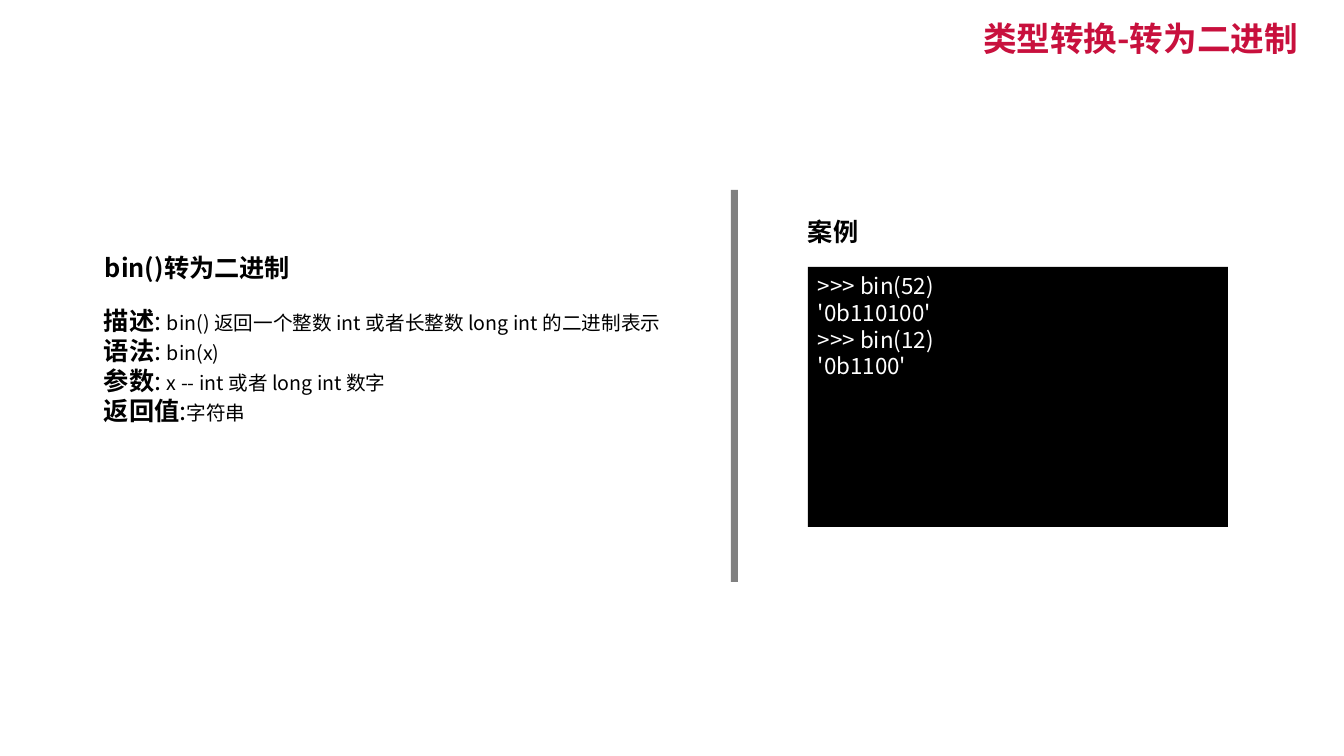
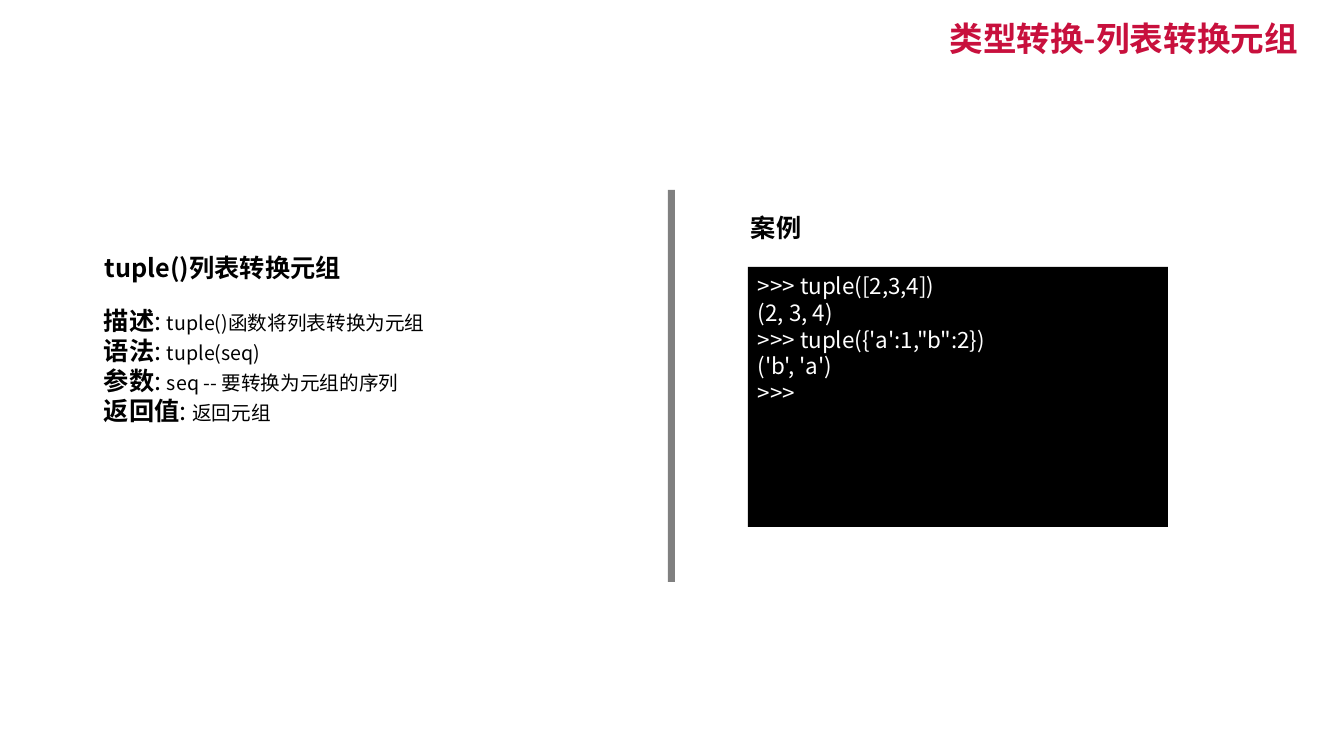
from dataclasses import dataclass

from lxml.etree import SubElement
from pptx import Presentation
from pptx.dml.color import RGBColor
from pptx.enum.shapes import MSO_SHAPE
from pptx.enum.text import MSO_ANCHOR, MSO_AUTO_SIZE, PP_ALIGN
from pptx.oxml.ns import qn
from pptx.util import Emu, Pt

EMU_PER_PIXEL = 914400 / 100.8
SLIDE_SIZE = (1344, 756)
FONT = "Noto Sans CJK SC"
CRIMSON = RGBColor(0xC8, 0x10, 0x3D)
BLACK = RGBColor(0, 0, 0)
WHITE = RGBColor(0xFF, 0xFF, 0xFF)
GRAY = RGBColor(0x80, 0x80, 0x80)
LINE_RATIO = 1.2

TITLE_BOX = (672, 20, 636, 41)
DETAILS_BOX = (94, 300, 607, 156)
DIVIDER_TOP, DIVIDER_WIDTH, DIVIDER_HEIGHT = 190, 7, 392
PANEL_TOP, PANEL_WIDTH, PANEL_HEIGHT = 267, 420, 260


@dataclass
class Conversion:
    """Content and column positions of one conversion slide."""
    title: str
    heading: str
    heading_width: int
    details: list
    code: list
    divider_left: int
    example_label: tuple
    panel_left: int


CONVERSIONS = [
    Conversion(
        title="类型转换-转为二进制",
        heading="bin()转为二进制",
        heading_width=213,
        details=[
            ("描述", ": ", "bin() 返回一个整数 int 或者长整数 long int 的二进制表示"),
            ("语法", ": ", "bin(x)"),
            ("参数", ": ", "x -- int 或者 long int 数字"),
            ("返回值", ":", "字符串"),
        ],
        code=[">>> bin(52)", "'0b110100'", ">>> bin(12)", "'0b1100'"],
        divider_left=731,
        example_label=(798, 211),
        panel_left=808,
    ),
    Conversion(
        title="类型转换-列表转换元组",
        heading="tuple()列表转换元组",
        heading_width=264,
        details=[
            ("描述", ": ", "tuple()函数将列表转换为元组"),
            ("语法", ": ", "tuple(seq)"),
            ("参数", ": ", "seq -- 要转换为元组的序列"),
            ("返回值", ": ", "返回元组"),
        ],
        code=[">>> tuple([2,3,4])", "(2, 3, 4)", ">>> tuple({'a':1,\"b\":2})",
              "('b', 'a')", ">>>"],
        divider_left=668,
        example_label=(741, 207),
        panel_left=748,
    ),
]


def to_emu(*pixels):
    """Convert pixel lengths to EMU."""
    return [Emu(round(length * EMU_PER_PIXEL)) for length in pixels]


def style_paragraph(paragraph, size, color, bold=False):
    """Set the font and line pitch of a paragraph."""
    font = paragraph.font
    font.size, font.bold, font.name = Pt(size), bold, FONT
    font.color.rgb = color
    paragraph.line_spacing = Pt(size * LINE_RATIO)
    defaults = paragraph._p.pPr.find(qn("a:defRPr"))
    SubElement(defaults, qn("a:ea")).set("typeface", FONT)


def add_paragraphs(frame, count):
    """Return the given number of paragraphs in an empty text frame."""
    return [frame.paragraphs[0]] + [frame.add_paragraph() for _ in range(count - 1)]


def add_rectangle(slide, box, color):
    """Add a plain filled rectangle."""
    shape = slide.shapes.add_shape(MSO_SHAPE.RECTANGLE, *to_emu(*box))
    shape.shadow.inherit = False
    shape.fill.solid()
    shape.fill.fore_color.rgb = color
    shape.line.fill.background()
    return shape


def place_title(slide, text, box):
    """Place and format the title placeholder."""
    title = slide.shapes.title
    title.left, title.top, title.width, title.height = to_emu(*box)
    frame = title.text_frame
    frame.text = text
    frame.auto_size = MSO_AUTO_SIZE.NONE
    frame.vertical_anchor = MSO_ANCHOR.MIDDLE
    paragraph = frame.paragraphs[0]
    style_paragraph(paragraph, 24, CRIMSON, bold=True)
    paragraph.alignment = PP_ALIGN.RIGHT
    paragraph.line_spacing = 0.9


def add_heading(slide, text, box):
    """Add a one-line bold heading."""
    frame = slide.shapes.add_textbox(*to_emu(*box)).text_frame
    frame.word_wrap = False
    frame.text = text
    style_paragraph(frame.paragraphs[0], 18, BLACK, bold=True)


def add_details(slide, details, box):
    """Add the labelled lines that describe a function."""
    frame = slide.shapes.add_textbox(*to_emu(*box)).text_frame
    frame.word_wrap = True
    for paragraph, (label, colon, value) in zip(add_paragraphs(frame, len(details)), details):
        style_paragraph(paragraph, 18, BLACK)
        for text in (label, colon, value):
            paragraph.add_run().text = text
        label_run, _, value_run = paragraph.runs
        label_run.font.bold = True
        value_run.font.size = Pt(14)


def add_code_panel(slide, lines, box):
    """Add the black console panel with its code lines."""
    frame = add_rectangle(slide, box, BLACK).text_frame
    frame.word_wrap = True
    frame.vertical_anchor = MSO_ANCHOR.TOP
    for paragraph, line in zip(add_paragraphs(frame, len(lines)), lines):
        paragraph.text = line
        paragraph.alignment = PP_ALIGN.LEFT
        style_paragraph(paragraph, 16, WHITE)


def add_conversion_slide(presentation, conversion):
    """Add one slide with a description left and an example right."""
    slide = presentation.slides.add_slide(presentation.slide_layouts.get_by_name("Title Only"))
    place_title(slide, conversion.title, TITLE_BOX)
    add_heading(slide, conversion.heading, (95, 247, conversion.heading_width, 40))
    add_details(slide, conversion.details, DETAILS_BOX)
    add_rectangle(slide, (conversion.divider_left, DIVIDER_TOP, DIVIDER_WIDTH, DIVIDER_HEIGHT), GRAY)
    add_heading(slide, "案例", (*conversion.example_label, 71, 40))
    add_code_panel(slide, conversion.code,
                   (conversion.panel_left, PANEL_TOP, PANEL_WIDTH, PANEL_HEIGHT))


def main():
    """Build and save the presentation."""
    presentation = Presentation()
    presentation.slide_width, presentation.slide_height = to_emu(*SLIDE_SIZE)
    for conversion in CONVERSIONS:
        add_conversion_slide(presentation, conversion)
    presentation.save("out.pptx")


main()
